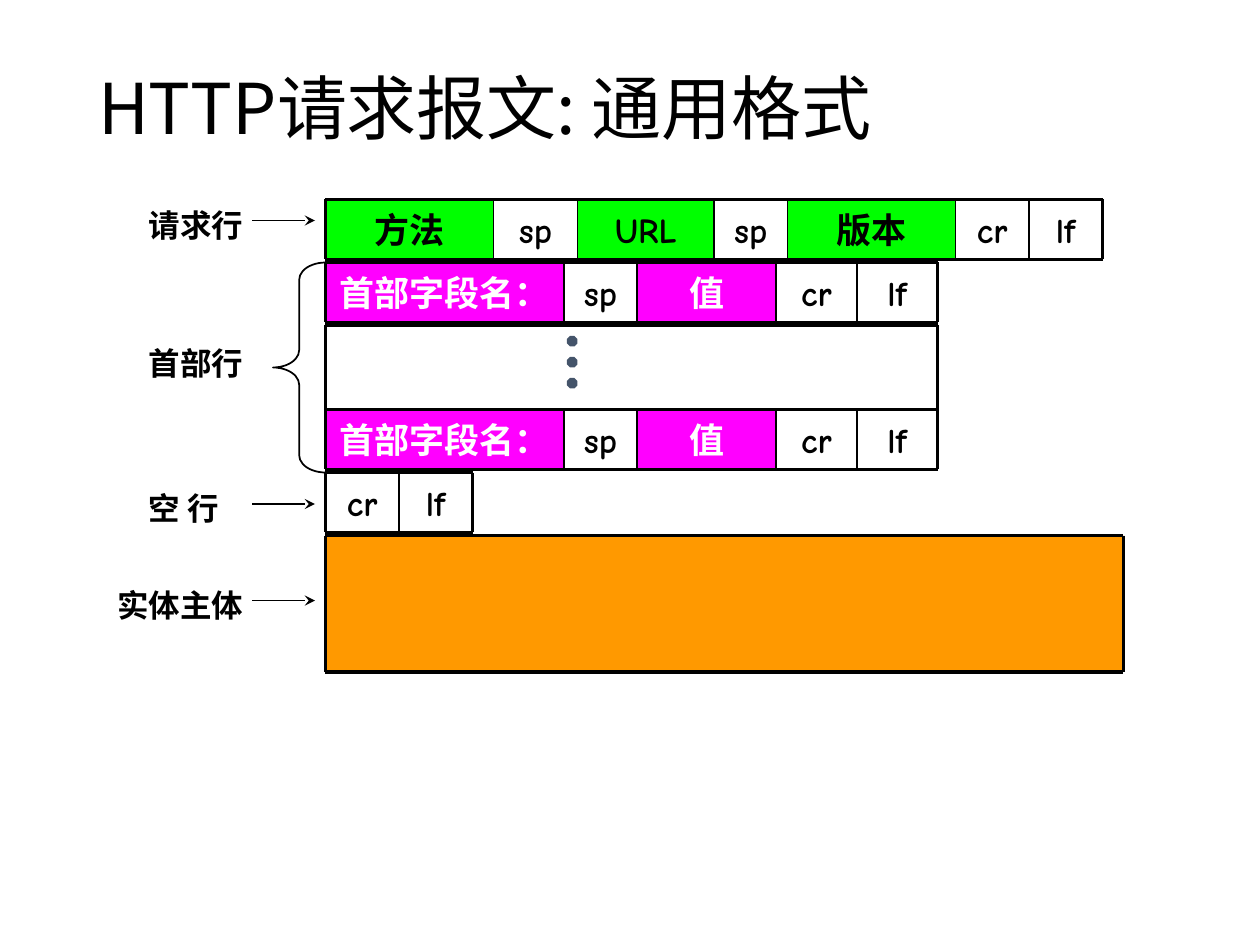
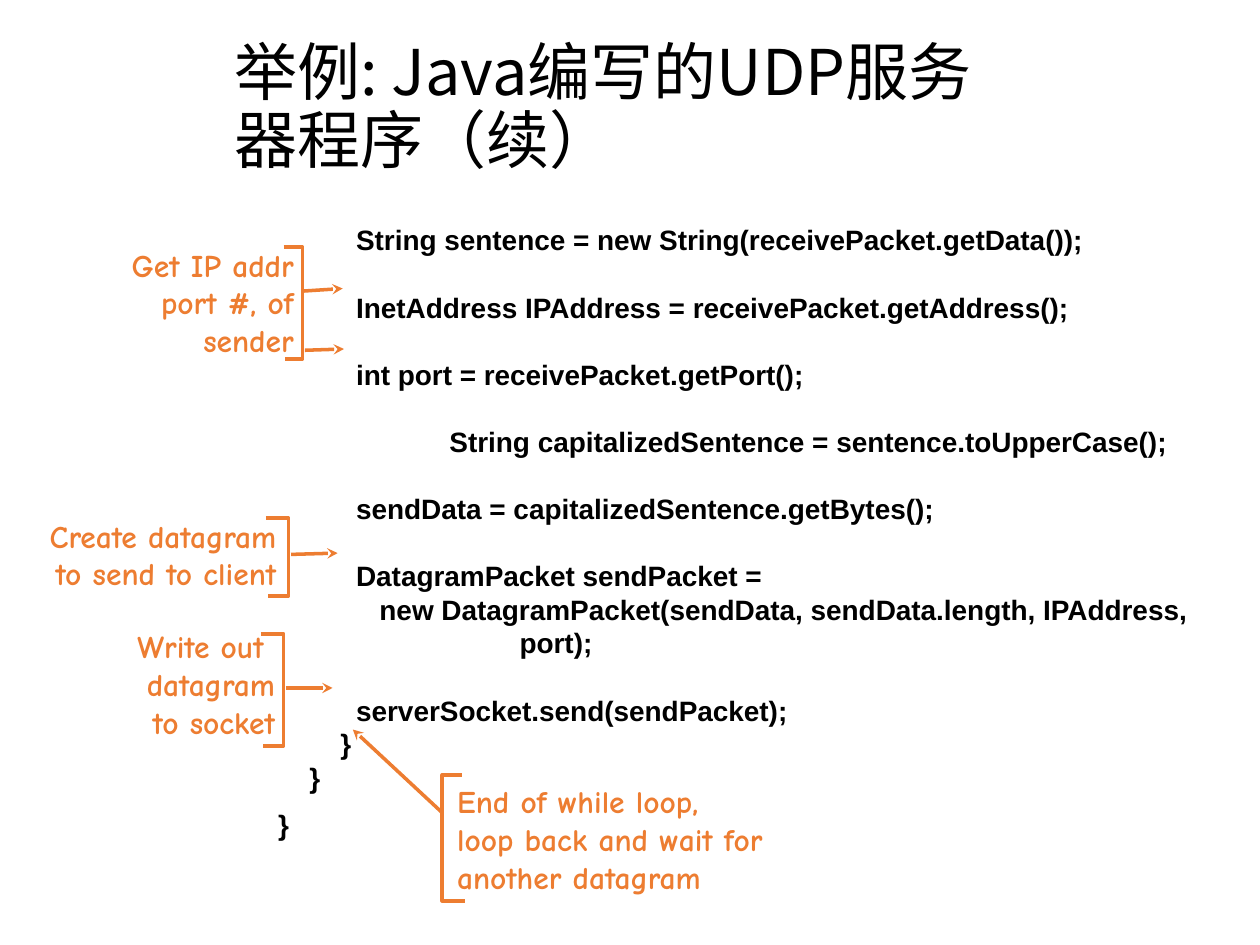
from itertools import accumulate

from lxml import etree
from pptx import Presentation
from pptx import util as u
from pptx.dml.color import RGBColor
from pptx.enum import shapes, text
from pptx.oxml.ns import qn

COLORS = {"ink": "000000", "paper": "FFFFFF", "request": "00FF00", "header": "FF00FF",
          "body": "FF9900", "dot": "44546A", "callout": "ED7D31"}
CJK, HAND, CODE = "Noto Sans CJK SC", "Comic Neue", "Arial"
LEFT, CENTER, RIGHT = text.PP_ALIGN.LEFT, text.PP_ALIGN.CENTER, text.PP_ALIGN.RIGHT
SLIDE_SIZE = 10, 7.5
TITLE_SIZE = 6.48, 0.97

# Slide 1: lengths count twelfths of an inch
UNIT = 1 / 12
REQUEST_TITLE = "HTTP请求报文: 通用格式"
MESSAGE_LEFT = 31
HEADER_CELLS = [("首部字段名：", 22.7, "header"), ("sp", 7, "paper"), ("值", 13.2, "header"),
                ("cr", 7.7, "paper"), ("lf", 7.7, "paper")]
MESSAGE_ROWS = [  # top, height, cells of (text, width, fill)
    (19, 5.7, [("方法", 16, "request"), ("sp", 8, "paper"), ("URL", 13, "request"),
               ("sp", 7, "paper"), ("版本", 16, "request"), ("cr", 7, "paper"),
               ("lf", 7, "paper")]),
    (25, 5.7, HEADER_CELLS),
    (31, 8, [("", 58.3, "paper")]),
    (39, 5.7, HEADER_CELLS),
    (45, 5.7, [("cr", 7, "paper"), ("lf", 7, "paper")]),
    (51, 13, [("", 76, "body")]),
]
DOT_LEFT, DOT_TOPS = 54, (32, 34, 36)
BRACE = 26, 25, 5, 20
LABEL_RIGHT, LABEL_HEIGHT = 25, 4.8
ROW_LABELS = [  # text, left, top, height of its arrow
    ("请求行", 13, 19, 21),
    ("首部行", 13, 32.2, None),
    ("空 行", 13, 46, 48),
    ("实体主体", 10, 55.2, 57.2),
]
ARROW_SPAN = 24, 30

# Slide 2: lengths in inches
SERVER_TITLE = "举例: Java编写的UDP服务器程序（续）"
CODE_BOX = 2.11, 1.72, 7.7, 5.04
CODE_SIZE, COLUMN = 16, 0.0618
CODE_LINES = [  # indent in columns, gap above in lines, text
    (10, 0, "String sentence = new String(receivePacket.getData());"),
    (10, 1, "InetAddress IPAddress = receivePacket.getAddress();"),
    (10, 1, "int port = receivePacket.getPort();"),
    (22, 1, "String capitalizedSentence = sentence.toUpperCase();"),
    (10, 1, "sendData = capitalizedSentence.getBytes();"),
    (10, 1, "DatagramPacket sendPacket ="),
    (13, 0, "new DatagramPacket(sendData, sendData.length, IPAddress,"),
    (31, 0, "port);"),
    (10, 1, "serverSocket.send(sendPacket);"),
    (8, 0, "}"),
    (4, 0, "}"),
    (0, 0.4, "}"),
]
CALLOUTS = [
    {"lines": ["Get IP addr", "port #, of", "sender"], "align": RIGHT,
     "box": (0.14, 1.9, 2.29, 1),
     "bracket": [(2.25, 1.96), (2.4, 1.96), (2.4, 2.85), (2.26, 2.85)],
     "arrows": [((2.41, 2.31), (2.72, 2.29)), ((2.42, 2.78), (2.73, 2.77))]},
    {"lines": ["Create datagram", "to send to client"], "align": RIGHT,
     "box": (0.04, 4.05, 2.25, 0.7),
     "bracket": [(2.11, 4.11), (2.29, 4.11), (2.29, 4.73), (2.13, 4.73)],
     "arrows": [((2.31, 4.4), (2.68, 4.39))]},
    {"lines": ["Write out ", "datagram", "to socket"], "align": RIGHT,
     "box": (0.77, 4.93, 1.51, 1),
     "bracket": [(2.07, 5.03), (2.25, 5.03), (2.25, 5.92), (2.09, 5.92)],
     "arrows": [((2.27, 5.46), (2.64, 5.46))]},
    {"lines": ["End of while loop,", "loop back and wait for", "another datagram"],
     "align": LEFT, "box": (3.53, 6.16, 2.94, 1),
     "bracket": [(3.69, 7.15), (3.51, 7.15), (3.51, 6.15), (3.67, 6.15)],
     "arrows": [((3.51, 6.45), (2.8, 5.79))]},
]


def color(name):
    return RGBColor.from_string(COLORS[name])


def inches(*lengths):
    return [u.Inches(length) for length in lengths]


def grid(*counts):
    return [count * UNIT for count in counts]


def style(para, size, font, ink="ink", bold=True, align=LEFT):
    para.alignment = align
    para.font.size = u.Pt(size)
    para.font.name = font
    para.font.bold = bold
    para.font.color.rgb = color(ink)
    for span in para.runs:
        east_asian = etree.SubElement(span._r.get_or_add_rPr(), qn("a:ea"))
        east_asian.set("typeface", CJK)


def add_text(page, box, lines, anchor=text.MSO_ANCHOR.MIDDLE, wrap=True, **look):
    frame = page.shapes.add_textbox(*inches(*box)).text_frame
    frame.word_wrap = wrap
    frame.vertical_anchor = anchor
    frame.text = "\n".join(lines)
    for para in frame.paragraphs:
        style(para, **look)
    return frame.paragraphs


def add_title(page, title, left, top, size):
    para, = add_text(page, (left, top, *TITLE_SIZE), [title], size=size, font=CJK, bold=False)
    para.line_spacing = 0.9


def add_shape(page, kind, box, fill=None):
    """Add a preset shape: filled without a line, or outlined without a fill."""
    shape = page.shapes.add_shape(kind, *inches(*box))
    shape.shadow.inherit = False
    if fill:
        shape.fill.solid()
        shape.fill.fore_color.rgb = color(fill)
        shape.line.fill.background()
    else:
        shape.fill.background()
        shape.line.color.rgb = color("ink")
        shape.line.width = u.Pt(1)
    return shape


def add_line(page, start, end, width=1, ink="ink", arrow=False):
    line = page.shapes.add_connector(shapes.MSO_CONNECTOR.STRAIGHT, *inches(*start, *end))
    line.line.color.rgb = color(ink)
    line.line.width = u.Pt(width)
    if arrow:
        etree.SubElement(line.line._get_or_add_ln(), qn("a:tailEnd")).set("type", "stealth")
    etree.SubElement(line._element.spPr, qn("a:effectLst"))


def add_message_row(page, top, height, cells):
    """Draw filled cells side by side, thin dividers and a thick frame."""
    edges = list(accumulate((width for _, width, _ in cells), initial=MESSAGE_LEFT))
    bottom = top + height
    for left, (label, width, fill) in zip(edges, cells):
        cell = add_shape(page, shapes.MSO_SHAPE.RECTANGLE, grid(left, top, width, height), fill)
        if label:
            frame = cell.text_frame
            frame.margin_left = frame.margin_right = 0
            frame.vertical_anchor = text.MSO_ANCHOR.MIDDLE
            frame.text = label
            style(frame.paragraphs[0], 20, HAND, "paper" if fill == "header" else "ink",
                  align=CENTER)
    for edge in edges:
        add_line(page, grid(edge, top), grid(edge, bottom),
                 width=2 if edge in (edges[0], edges[-1]) else 1)
    for level in (top, bottom):
        add_line(page, grid(edges[0], level), grid(edges[-1], level), width=2)


def build_request_format(page):
    add_title(page, REQUEST_TITLE, 0.68, 0.4, 40)
    for row in MESSAGE_ROWS:
        add_message_row(page, *row)
    for top in DOT_TOPS:
        add_shape(page, shapes.MSO_SHAPE.OCTAGON, grid(DOT_LEFT, top, 1, 1), "dot")
    brace = add_shape(page, shapes.MSO_SHAPE.LEFT_BRACE, grid(*BRACE))
    brace.adjustments[0] = 0.33
    for label, left, top, arrow_level in ROW_LABELS:
        add_text(page, grid(left, top, LABEL_RIGHT - left, LABEL_HEIGHT), [label],
                 wrap=False, size=18, font=HAND)
        if arrow_level:
            start, end = ARROW_SPAN
            add_line(page, grid(start, arrow_level), grid(end, arrow_level), arrow=True)


def add_callout(page, lines, align, box, bracket, arrows):
    for para in add_text(page, box, lines, size=18, font=HAND, ink="callout", align=align):
        para.line_spacing = u.Pt(21.6)
    first, *others = [inches(*point) for point in bracket]
    builder = page.shapes.build_freeform(*first)
    builder.add_line_segments(others, close=False)
    outline = builder.convert_to_shape()
    outline.shadow.inherit = False
    outline.fill.background()
    outline.line.color.rgb = color("callout")
    outline.line.width = u.Pt(2)
    for start, end in arrows:
        add_line(page, start, end, width=2, ink="callout", arrow=True)


def build_server_code(page):
    add_title(page, SERVER_TITLE, 1.76, 0.38, 36)
    paras = add_text(page, CODE_BOX, [line for _, _, line in CODE_LINES],
                     anchor=text.MSO_ANCHOR.TOP, size=CODE_SIZE, font=CODE)
    pitch = 1.2 * CODE_SIZE
    for para, (indent, gap, _) in zip(paras, CODE_LINES):
        para.line_spacing = u.Pt(pitch)
        para.space_before = u.Pt(gap * pitch)
        para._p.get_or_add_pPr().set("marL", str(u.Inches(indent * COLUMN)))
    for callout in CALLOUTS:
        add_callout(page, **callout)


def main():
    deck = Presentation()
    deck.slide_width, deck.slide_height = inches(*SLIDE_SIZE)
    for build in (build_request_format, build_server_code):
        build(deck.slides.add_slide(deck.slide_layouts[6]))
    deck.save("out.pptx")


if __name__ == "__main__":
    main()
